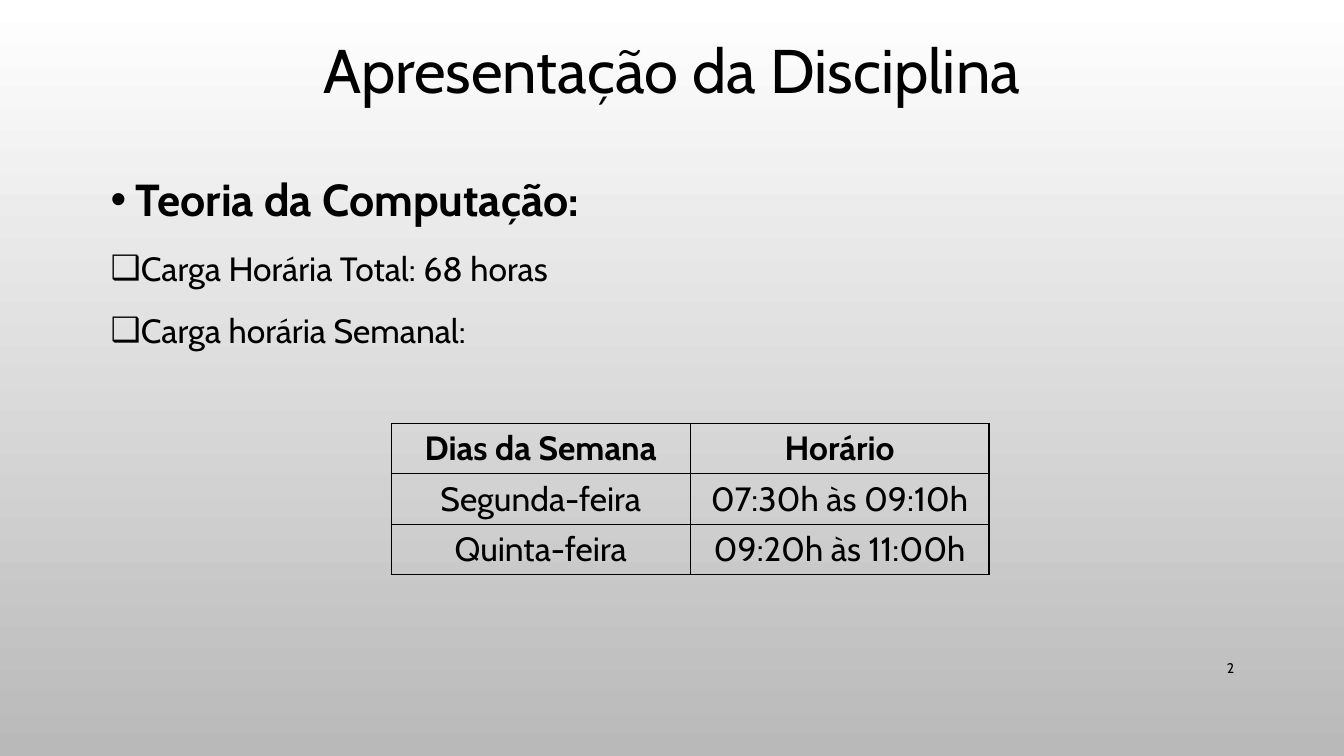
from lxml.etree import SubElement
from pptx import Presentation
from pptx.dml.color import RGBColor
from pptx.enum.text import MSO_ANCHOR, PP_ALIGN
from pptx.oxml.ns import qn
from pptx.util import Inches, Pt

COLORS = {"ink": "000000", "top": "FFFFFF", "bottom": "B9B9B9"}
FONT = "Cabin"


class SlideBuilder:
    def __init__(self, slide):
        self.slide = slide

    def background(self):
        fill = self.slide.background.fill
        fill.gradient()
        fill.gradient_angle = 270
        for stop, position, name in zip(fill.gradient_stops, (0, 1), ("top", "bottom")):
            stop.position = position
            stop.color.rgb = RGBColor.from_string(COLORS[name])

    def style(self, paragraph, size, bold=False, align=PP_ALIGN.LEFT):
        paragraph.alignment = align
        for run in paragraph.runs:
            run.font.name = FONT
            run.font.size = Pt(size)
            run.font.bold = bold
            run.font.color.rgb = RGBColor.from_string(COLORS["ink"])

    def text(self, box, content, size, align, anchor=MSO_ANCHOR.MIDDLE):
        frame = self.slide.shapes.add_textbox(*map(Inches, box)).text_frame
        frame.word_wrap = True
        frame.vertical_anchor = anchor
        frame.text = content
        for paragraph in frame.paragraphs:
            self.style(paragraph, size, align=align)
        return frame

    def bullets(self, box, items):
        content = "\n".join(line for _, line, _, _ in items)
        frame = self.text(box, content, 24, PP_ALIGN.LEFT, MSO_ANCHOR.TOP)
        for paragraph, (mark, _, size, bold) in zip(frame.paragraphs, items):
            self.style(paragraph, size, bold)
            paragraph.line_spacing = 1.2
            paragraph.space_before = Pt(10)
            props = paragraph._p.get_or_add_pPr()
            props.set("marL", str(Inches(0.25)))
            props.set("indent", str(-Inches(0.25)))
            color = SubElement(props, qn("a:buClr"))
            SubElement(color, qn("a:srgbClr"), val=COLORS["ink"])
            SubElement(props, qn("a:buFont"), typeface="Arial")
            SubElement(props, qn("a:buChar"), char=mark)

    def borders(self, cell):
        props = cell._tc.get_or_add_tcPr()
        for side in ("lnL", "lnR", "lnT", "lnB"):
            line = SubElement(props, qn(f"a:{side}"), w=str(Pt(1)))
            fill = SubElement(line, qn("a:solidFill"))
            SubElement(fill, qn("a:srgbClr"), val=COLORS["ink"])

    def table(self, box, rows):
        frame = self.slide.shapes.add_table(len(rows), len(rows[0]), *map(Inches, box))
        table = frame.table
        table.first_row = table.horz_banding = False
        for r, row in enumerate(rows):
            for c, content in enumerate(row):
                cell = table.cell(r, c)
                cell.text = content
                self.style(cell.text_frame.paragraphs[0], 24, r == 0, PP_ALIGN.CENTER)
                self.borders(cell)
                cell.fill.background()


def main():
    prs = Presentation()
    prs.slide_width, prs.slide_height = Inches(13.33), Inches(7.5)
    builder = SlideBuilder(prs.slides.add_slide(prs.slide_layouts[6]))
    builder.background()

    # Title
    title = builder.text((1, 0.29, 11.33, 0.87), "Apresentação da Disciplina",
                         44, PP_ALIGN.CENTER)
    title.paragraphs[0].line_spacing = 0.9

    # Course workload
    builder.bullets((1, 1.55, 11.33, 5.31), [
        ("•", "Teoria da Computação:", 32, True),
        ("❑", "Carga Horária Total: 68 horas", 24, False),
        ("❑", "Carga horária Semanal:", 24, False),
    ])

    # Weekly schedule
    builder.table((3.88, 4.2, 5.93, 1.5), [
        ("Dias da Semana", "Horário"),
        ("Segunda-feira", "07:30h às 09:10h"),
        ("Quinta-feira", "09:20h às 11:00h"),
    ])

    # Page number
    builder.text((11.5, 6.43, 0.84, 0.4), "2", 10, PP_ALIGN.RIGHT)

    prs.save("out.pptx")


if __name__ == "__main__":
    main()
